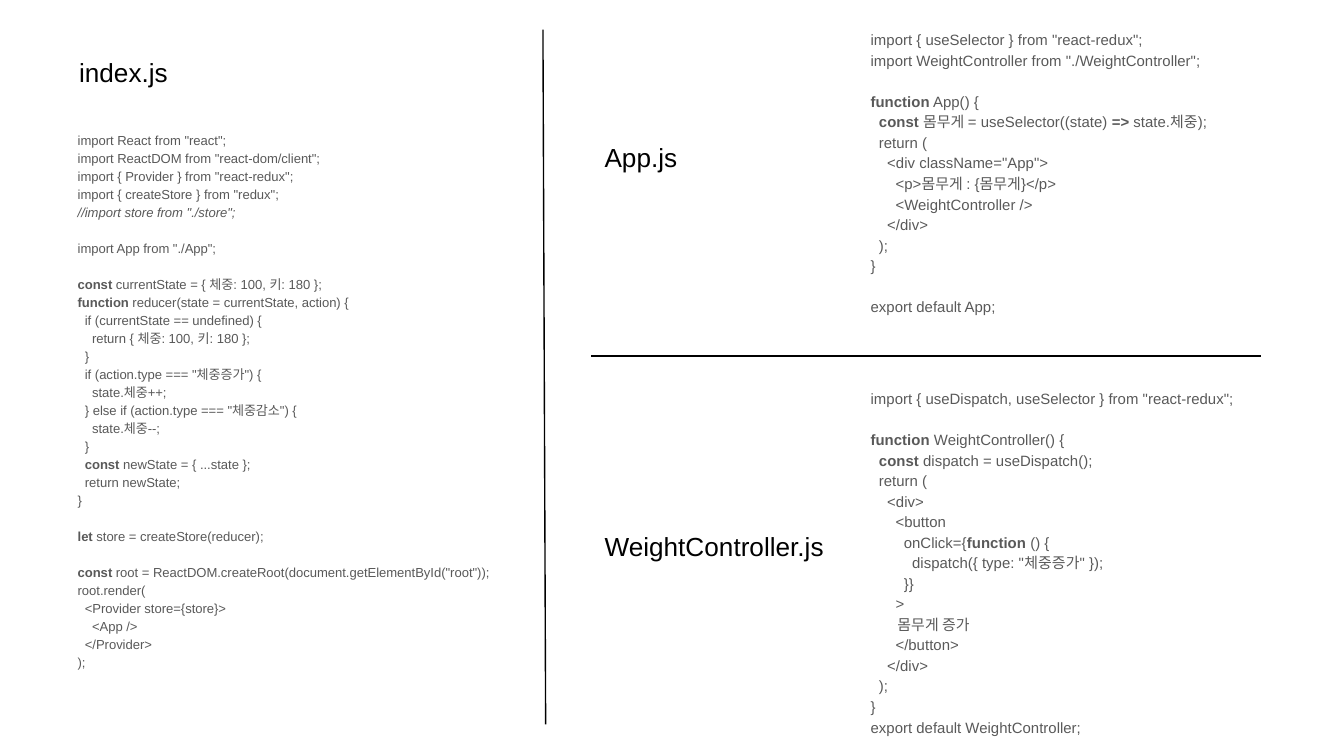
import pptx
import pptx.dml.color
import pptx.enum.shapes
import pptx.enum.text
import pptx.oxml.ns
import pptx.util
from lxml import etree

Inches = pptx.util.Inches
Pt = pptx.util.Pt

FONT = "Arial"
BLACK = "000000"
GREY = "595959"
BOX_WIDTH = 3.4

# In the listings, asterisks enclose bold keywords.
INDEX_CODE = """\
import React from "react";
import ReactDOM from "react-dom/client";
import { Provider } from "react-redux";
import { createStore } from "redux";
//import store from "./store";

import App from "./App";

*const* currentState = { 체중: 100, 키: 180 };
*function* reducer(state = currentState, action) {
  if (currentState == undefined) {
    return { 체중: 100, 키: 180 };
  }
  if (action.type === "체중증가") {
    state.체중++;
  } else if (action.type === "체중감소") {
    state.체중--;
  }
  *const* newState = { ...state };
  return newState;
}

*let* store = createStore(reducer);

*const* root = ReactDOM.createRoot(document.getElementById("root"));
root.render(
  <Provider store={store}>
    <App />
  </Provider>
);
"""

APP_CODE = """\
import { useSelector } from "react-redux";
import WeightController from "./WeightController";

*function* App() {
  *const* 몸무게 = useSelector((state) *=>* state.체중);
  return (
    <div className="App">
      <p>몸무게 : {몸무게}</p>
      <WeightController />
    </div>
  );
}

export default App;
"""

CONTROLLER_CODE = """\
import { useDispatch, useSelector } from "react-redux";

*function* WeightController() {
  *const* dispatch = useDispatch();
  return (
    <div>
      <button
        onClick={*function* () {
          dispatch({ type: "체중증가" });
        }}
      >
        몸무게 증가
      </button>
    </div>
  );
}
export default WeightController;
"""


def color(value):
    return pptx.dml.color.RGBColor.from_string(value)


def add_text_box(page, left, top, height):
    box = page.shapes.add_textbox(
        Inches(left), Inches(top), Inches(BOX_WIDTH), Inches(height))
    frame = box.text_frame
    frame.word_wrap = True
    frame.vertical_anchor = pptx.enum.text.MSO_ANCHOR.TOP
    frame.margin_left = frame.margin_right = Inches(0.1)
    frame.margin_top = frame.margin_bottom = Inches(0.1)
    return frame


def add_span(para, text, size, fill, bold=False, italic=False):
    span = para.add_run()
    span.text = text
    span.font.name = FONT
    span.font.size = Pt(size)
    span.font.bold = bold
    span.font.italic = italic
    span.font.color.rgb = color(fill)


def add_file_name(page, left, top, name):
    frame = add_text_box(page, left, top, 0.63)
    add_span(frame.paragraphs[0], name, 14, BLACK)


def add_code(page, left, top, height, code, size):
    """Set a listing, turning each empty line into space before the next."""
    frame = add_text_box(page, left, top, height)
    para = frame.paragraphs[0]
    gap = False
    for number, line in enumerate(code.splitlines()):
        if not line:
            gap = True
            continue
        if number:
            para = frame.add_paragraph()
        para._p.get_or_add_pPr().set("marL", str(Inches(0.12)))
        para.line_spacing = 1.15
        if gap:
            para.space_before = Pt(round(size * 1.37, 1))
            gap = False
        for index, text in enumerate(line.split("*")):
            if text:
                add_span(para, text, size, GREY, bold=index % 2 == 1,
                         italic=line.startswith("//"))


def add_divider(page, start, end):
    line = page.shapes.add_connector(
        pptx.enum.shapes.MSO_CONNECTOR.STRAIGHT,
        *(Inches(length) for length in start + end))
    line.line.color.rgb = color(BLACK)
    line.line.width = Pt(0.75)
    etree.SubElement(line._element.spPr, pptx.oxml.ns.qn("a:effectLst"))


def add_index_panel(page, left, top):
    add_file_name(page, left + 0.13, top, "index.js")
    add_code(page, left, top + 0.55, 4.22, INDEX_CODE, 7)


def add_component_panel(page, left, top, height, name, name_offset, code):
    """Place the file name at the left and its listing at the right."""
    add_file_name(page, left, top + name_offset, name)
    add_code(page, left + 1.86, top, height, code, 8)


def main():
    deck = pptx.Presentation()
    deck.slide_width = Inches(10)
    deck.slide_height = deck.slide_width * 9 // 16
    page = deck.slides.add_slide(deck.slide_layouts[6])

    add_index_panel(page, 0.36, 0.32)
    add_component_panel(page, 4.4, 0.11, 2.32, "App.js", 0.84, APP_CODE)
    add_component_panel(page, 4.4, 2.78, 2.77, "WeightController.js", 1.07,
                        CONTROLLER_CODE)
    add_divider(page, (4.04, 0.22), (4.06, 5.39))
    add_divider(page, (4.4, 2.65), (9.38, 2.65))

    deck.save("out.pptx")


if __name__ == "__main__":
    main()
